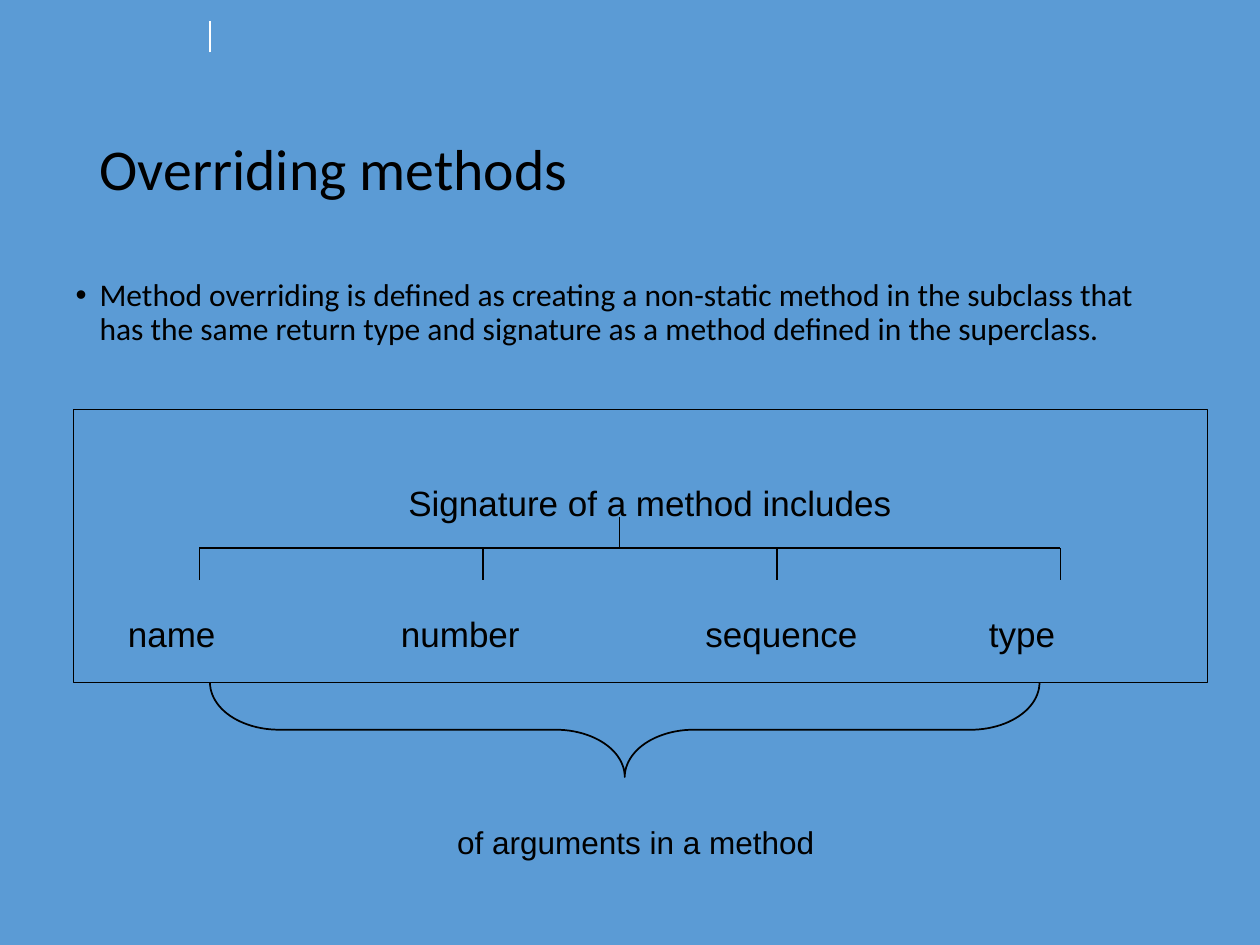
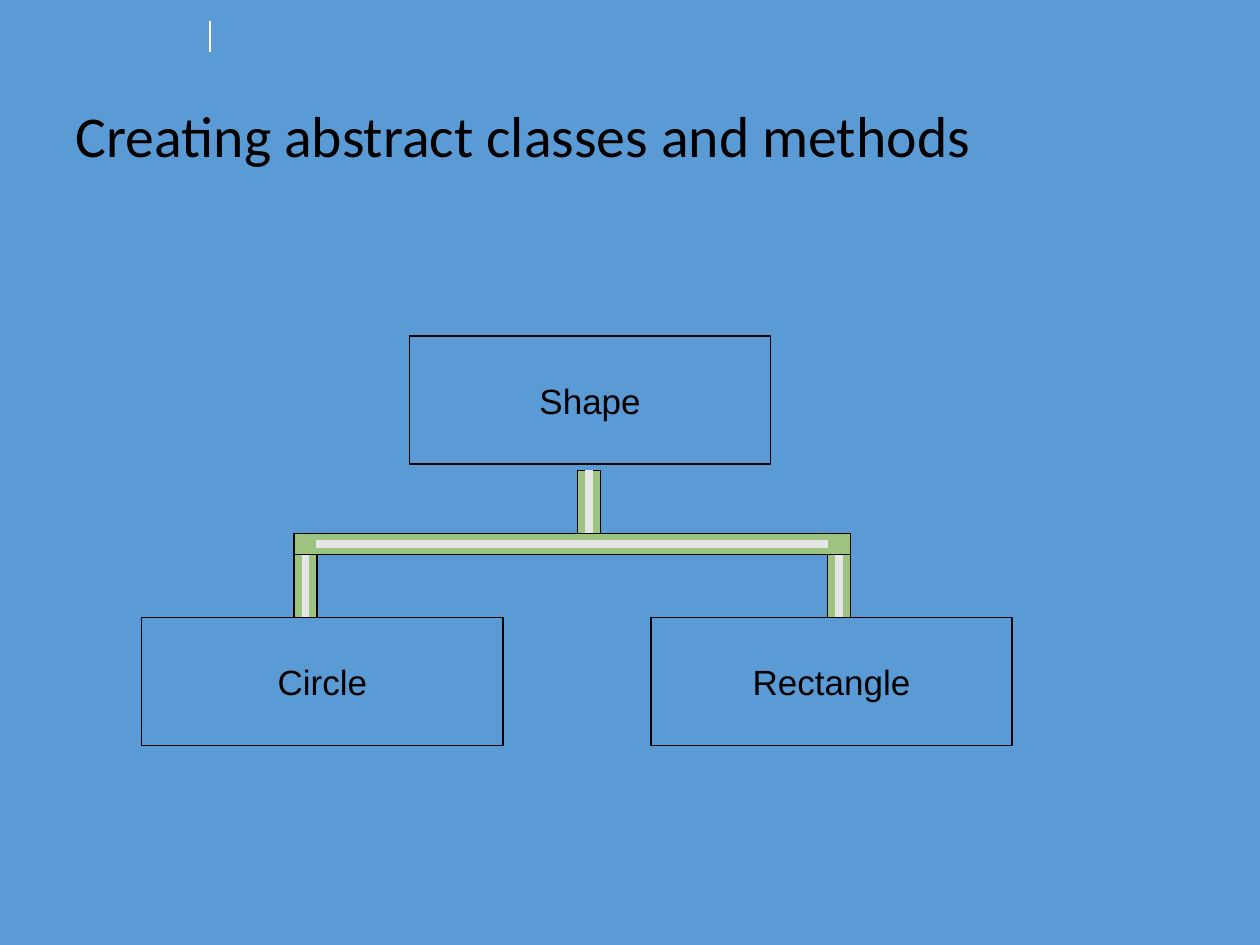
from dataclasses import dataclass

from lxml import etree
from pptx import Presentation
from pptx.dml.color import RGBColor
from pptx.enum.shapes import MSO_CONNECTOR, MSO_SHAPE
from pptx.enum.text import MSO_ANCHOR, MSO_AUTO_SIZE, PP_ALIGN
from pptx.oxml.ns import qn
from pptx.util import Emu, Inches, Pt

RECT, BRACE = MSO_SHAPE.RECTANGLE, MSO_SHAPE.RIGHT_BRACE
STRAIGHT = MSO_CONNECTOR.STRAIGHT
LEFT, CENTER = PP_ALIGN.LEFT, PP_ALIGN.CENTER
TOP, MIDDLE = MSO_ANCHOR.TOP, MSO_ANCHOR.MIDDLE
NO_FIT = MSO_AUTO_SIZE.NONE

WIDTH, HEIGHT = Inches(10), Inches(7.5)
CELL = WIDTH / 120  # the grid has 120 columns and 90 rows

BLUE, BLACK, WHITE, YELLOW, GREY = "5B9BD5", "000000", "FFFFFF", "FFFF00", "E7E6E6"
HEADING_FONT, DIAGRAM_FONT = "Calibri", "Arial"
TITLE_LAYOUT, LIST_LAYOUT = 5, 1


@dataclass(frozen=True)
class Area:
    """A rectangle in grid columns and rows."""
    column: float
    row: float
    columns: float
    rows: float

    def lengths(self) -> list[Emu]:
        return [cells(n) for n in (self.column, self.row, self.columns, self.rows)]


@dataclass(frozen=True)
class Branch:
    """A signature part: its label and the column of its stub line."""
    label: str
    column: float
    columns: float
    stub: float


@dataclass(frozen=True)
class Node:
    name: str
    column: float
    row: float


@dataclass(frozen=True)
class Post:
    """An upright beam, given by its centre column and top row."""
    center: float
    row: float


BRANCHES = [
    Branch("name", 11, 17, 19),
    Branch("number", 37, 19, 46),
    Branch("sequence", 66, 17, 74),
    Branch("type", 93, 17, 101),
]
NODES = [Node("Shape", 39, 32), Node("Circle", 13.5, 58.8), Node("Rectangle", 62, 58.8)]
POSTS = [Post(56.1, 44.8), Post(79.9, 52.8), Post(29.1, 52.8)]
POST_COLUMNS, POST_ROWS = 2.2, 6


def cells(count: float) -> Emu:
    return Emu(round(count * CELL))


def color(value: str) -> RGBColor:
    return RGBColor.from_string(value)


def place(shape, area: Area) -> None:
    shape.left, shape.top, shape.width, shape.height = area.lengths()


def write(box, text: str, *, size: float = 20, font: str = DIAGRAM_FONT, align=CENTER,
          anchor=MIDDLE, spacing: float = 1.0, indent: float = 0) -> None:
    """Fill a shape with one formatted paragraph; indent is a hanging one in inches."""
    frame = box.text_frame
    frame.word_wrap, frame.auto_size, frame.vertical_anchor = True, NO_FIT, anchor
    para = frame.paragraphs[0]
    para.alignment, para.line_spacing = align, spacing
    if indent:
        properties = para._p.get_or_add_pPr()
        properties.set("marL", str(Inches(indent)))
        properties.set("indent", str(-Inches(indent)))
    span = para.add_run()
    span.text = text
    span.font.size, span.font.name = Pt(size), font
    span.font.color.rgb = color(BLACK)


def draw_shape(page, area: Area, kind=RECT, *, fill: str = "", opacity: int = 40,
               line: str = BLACK, width: float = 0.75):
    shape = page.shapes.add_shape(kind, *area.lengths())
    shape.shadow.inherit = False
    if fill:
        shape.fill.solid()
        shape.fill.fore_color.rgb = color(fill)
        tint = shape._element.spPr.find(qn("a:solidFill"))[0]
        etree.SubElement(tint, qn("a:alpha")).set("val", str(opacity * 1000))
    else:
        shape.fill.background()
    if line:
        shape.line.color.rgb = color(line)
        shape.line.width = Pt(width)
    else:
        shape.line.fill.background()
    return shape


def draw_line(page, start: tuple[float, float], end: tuple[float, float],
              line: str = BLACK, width: float = 1) -> None:
    points = [cells(n) for n in (*start, *end)]
    connector = page.shapes.add_connector(STRAIGHT, *points)
    connector.line.color.rgb = color(line)
    connector.line.width = Pt(width)
    etree.SubElement(connector._element.spPr, qn("a:effectLst"))


def add_page(deck, layout: int, title: str, area: Area):
    """Add a slide with the shared header tick and title style."""
    page = deck.slides.add_slide(deck.slide_layouts[layout])
    draw_line(page, (20, 5), (20, 2), WHITE, 0.75)
    place(page.shapes.title, area)
    write(page.shapes.title, title, size=33, font=HEADING_FONT, align=LEFT, spacing=0.9)
    return page


def build_overriding(deck) -> None:
    page = add_page(deck, LIST_LAYOUT, "Overriding methods", Area(8.3, 10.9, 103.5, 11))
    body = page.placeholders[1]
    place(body, Area(6, 26, 108, 58.4))
    write(body, "Method overriding is defined as creating a non-static method in the "
          "subclass that has the same return type and signature as a method defined "
          "in the superclass.",
          size=18, font=HEADING_FONT, align=LEFT, anchor=TOP, spacing=0.9, indent=0.19)

    panel = draw_shape(page, Area(7, 39, 108, 26), fill=BLUE)
    panel.text_frame.margin_left, panel.text_frame.margin_top = Inches(0.25), Inches(0.57)
    write(panel, "Signature of a method includes", anchor=TOP)

    bar_row, line_rows = 52.2, 3
    draw_line(page, (59, bar_row - line_rows), (59, bar_row))
    draw_line(page, (BRANCHES[0].stub, bar_row), (BRANCHES[-1].stub, bar_row))
    for branch in BRANCHES:
        label = draw_shape(page, Area(branch.column, 56.3, branch.columns, 8),
                           fill=BLUE, opacity=30, line="")
        write(label, branch.label, align=LEFT)
        draw_line(page, (branch.stub, bar_row), (branch.stub, bar_row + line_rows))

    brace = draw_shape(page, Area(55, 30, 9, 79), BRACE, width=1)
    brace.rotation = 90
    brace.adjustments[0] = 0.73
    caption = page.shapes.add_textbox(*Area(31.8, 77.8, 57.5, 10.3).lengths())
    write(caption, "of arguments in a method", size=18, anchor=TOP)


def build_abstract(deck) -> None:
    page = add_page(deck, TITLE_LAYOUT, "Creating abstract classes and methods",
                    Area(6, 7.7, 108, 11))
    for node in NODES:
        box = draw_shape(page, Area(node.column, node.row, 34.4, 12.2), fill=BLUE)
        write(box, node.name)
    for post in POSTS:
        draw_shape(page, Area(post.center - POST_COLUMNS / 2, post.row,
                              POST_COLUMNS, POST_ROWS), fill=YELLOW)
        draw_line(page, (post.center, post.row), (post.center, post.row + POST_ROWS),
                  GREY, 4.5)
    draw_shape(page, Area(28, 50.8, 53, 2), fill=YELLOW)
    draw_line(page, (30.1, 51.8), (78.9, 51.8), GREY, 4.5)


def main() -> None:
    deck = Presentation()
    deck.slide_width, deck.slide_height = WIDTH, HEIGHT
    backdrop = deck.slide_master.background.fill
    backdrop.solid()
    backdrop.fore_color.rgb = color(BLUE)
    build_overriding(deck)
    build_abstract(deck)
    deck.save("out.pptx")


if __name__ == "__main__":
    main()
